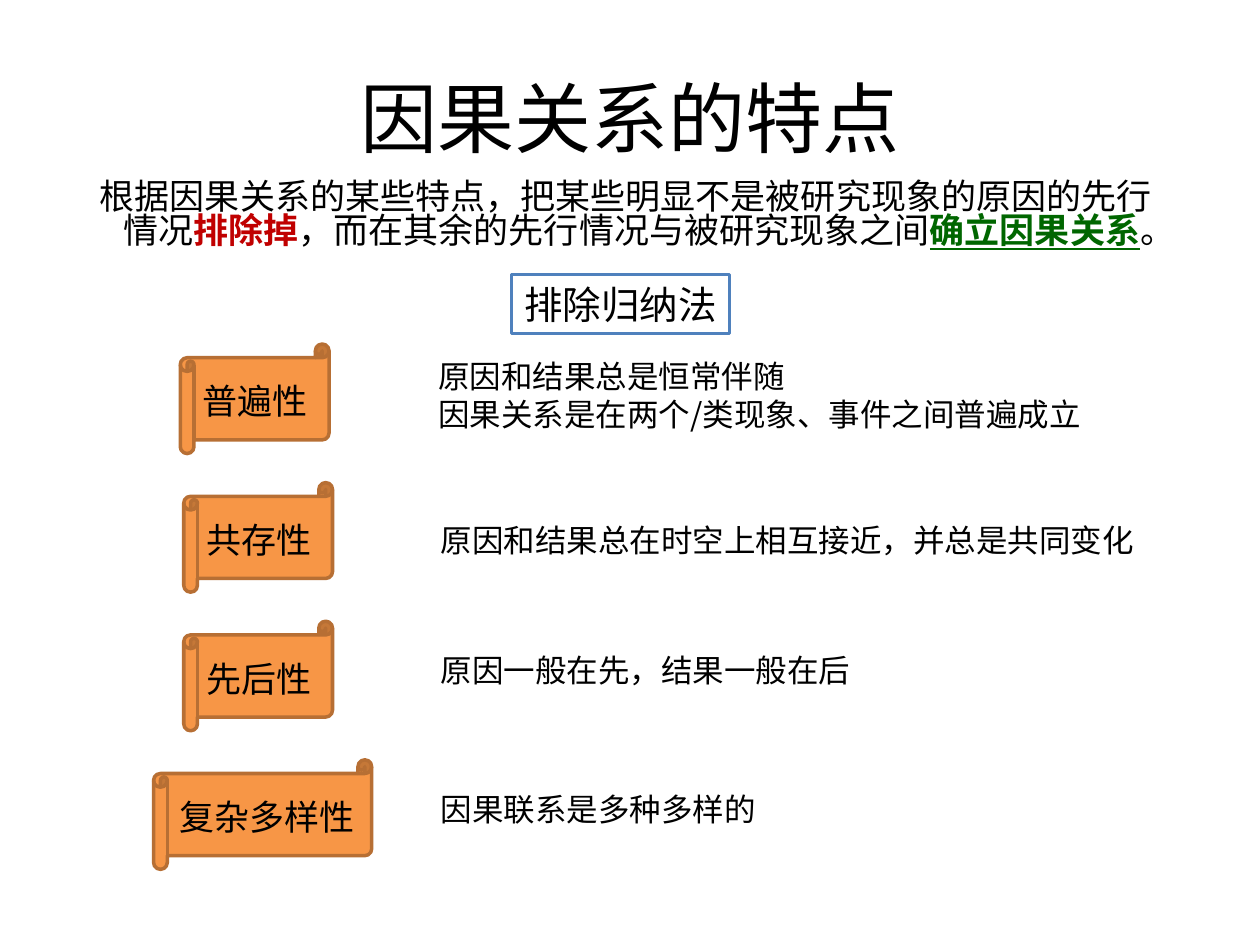
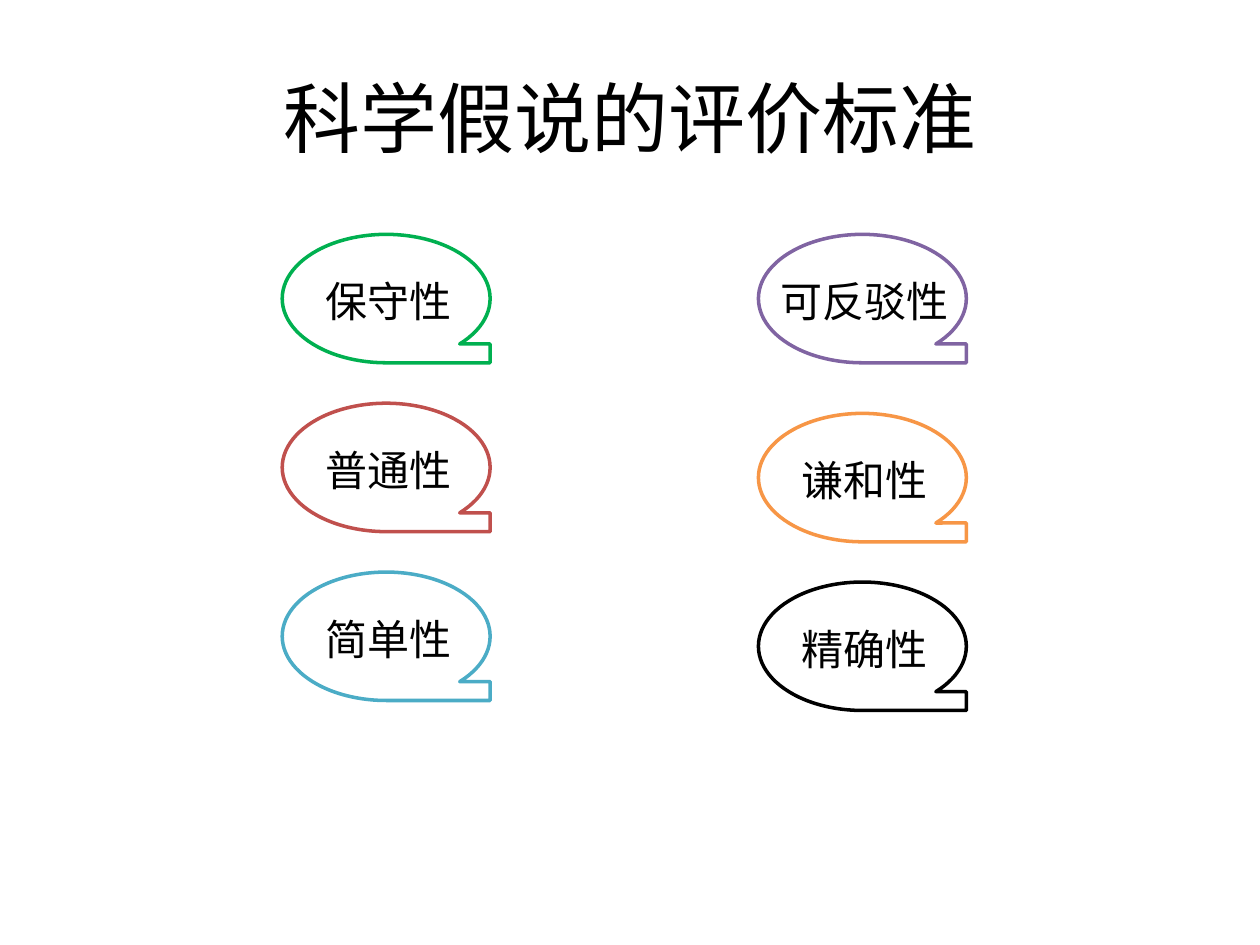
import pptx
import pptx.util
import pptx.dml.color
import pptx.enum.shapes
import pptx.enum.text
import pptx.oxml.ns
from lxml import etree

Pt = pptx.util.Pt
SHAPE = pptx.enum.shapes.MSO_SHAPE
ALIGN = pptx.enum.text.PP_ALIGN
ANCHOR = pptx.enum.text.MSO_ANCHOR

COLORS = {
    "black": "000000", "white": "FFFFFF", "blue": "4F81BD",
    "orange": "F79646", "brown": "B76F34", "red": "C00000",
    "dark green": "006600", "green": "00B050", "brick": "C0504D",
    "teal": "4BACC6", "purple": "8064A2",
}
TITLE_FONT = "Noto Sans CJK JP"
BODY_FONT = "Noto Sans CJK SC"
TITLE_BOX = (36, 21.6, 648, 90)
HANGING = 27.36
TIGHT = 0.83

# Causality slide
CAUSALITY_TITLE = "因果关系的特点"
INTRO = [  # text, colour, emphasised, underlined
    ("根据因果关系的某些特点，把某些明显不是被研究现象的原因的先行情况", "black", False, False),
    ("排除掉", "red", True, False),
    ("，而在其余的先行情况与被研究现象之间", "black", False, False),
    ("确立因果关系", "dark green", True, True),
    ("。", "black", False, False),
]
INTRO_BOX = (36, 100, 648, 65)
METHOD = "排除归纳法"
METHOD_BOX = (292.3, 157, 124.6, 33.5)
FEATURES = [  # name, scroll left, scroll width, label shift, text left, text top, lines
    ("普遍性", 103, 85, 0.5, 243.4, 204.3,
     ["原因和结果总是恒常伴随", "因果关系是在两个/类现象、事件之间普遍成立"]),
    ("共存性", 105, 85, 0.5, 244.8, 297.9, ["原因和结果总在时空上相互接近，并总是共同变化"]),
    ("先后性", 105, 85, 0.5, 244.8, 372.1, ["原因一般在先，结果一般在后"]),
    ("复杂多样性", 87.8, 124.6, 2.5, 244.8, 451.3, ["因果联系是多种多样的"]),
]
SCROLL_TOP, SCROLL_PITCH, SCROLL_HEIGHT = 196.6, 79.2, 62.6

# Hypothesis slide
HYPOTHESIS_TITLE = "科学假说的评价标准"
CRITERIA = [  # column left, then (top, name, outline colour)
    (161.3, [(133.9, "保守性", "green"), (230.4, "普通性", "brick"), (326.9, "简单性", "teal")]),
    (433.4, [(133.9, "可反驳性", "purple"), (236.2, "谦和性", "orange"), (332.6, "精确性", "black")]),
]
CRITERION_SIZE = (118.8, 73.4)


def rgb(color):
    return pptx.dml.color.RGBColor.from_string(COLORS[color])


def style_run(run, size, color="black", name=BODY_FONT, bold=False, underline=False):
    font = run.font
    font.size, font.name, font.bold, font.underline = Pt(size), name, bold, underline
    font.color.rgb = rgb(color)
    east_asian = etree.SubElement(run._r.get_or_add_rPr(), pptx.oxml.ns.qn("a:ea"))
    east_asian.set("typeface", name)


def hang(paragraph, first_line=0.0):
    """Indent all lines but the first, which starts at first_line points."""
    properties = paragraph._p.get_or_add_pPr()
    properties.set("marL", str(int(Pt(HANGING))))
    properties.set("indent", str(int(Pt(first_line - HANGING))))
    paragraph.line_spacing = TIGHT


def add_title_slide(deck, title):
    slide = deck.slides.add_slide(deck.slide_layouts[5])
    heading = slide.shapes.title
    heading.left, heading.top, heading.width, heading.height = map(Pt, TITLE_BOX)
    heading.text_frame.text = title
    heading.text_frame.vertical_anchor = ANCHOR.MIDDLE
    paragraph = heading.text_frame.paragraphs[0]
    paragraph.alignment = ALIGN.CENTER
    style_run(paragraph.runs[0], 44, name=TITLE_FONT)
    return slide


def add_outlined(slide, kind, box, fill, line):
    shape = slide.shapes.add_shape(kind, *map(Pt, box))
    shape.shadow.inherit = False
    shape.fill.solid()
    shape.fill.fore_color.rgb = rgb(fill)
    shape.line.color.rgb = rgb(line)
    shape.line.width = Pt(2)
    return shape


def center_text(shape, text, size):
    frame = shape.text_frame
    frame.text = text
    frame.word_wrap = False
    frame.vertical_anchor = ANCHOR.MIDDLE
    frame.paragraphs[0].alignment = ALIGN.CENTER
    style_run(frame.paragraphs[0].runs[0], size)


def add_label(slide, box, shift, text, size):
    """Centre a label over box, moved right by shift and slightly down."""
    left, top, width, height = box
    label = slide.shapes.add_textbox(*map(Pt, (left + shift, top + 1.2, width, height)))
    center_text(label, text, size)


def add_wrapped_box(slide, box):
    frame = slide.shapes.add_textbox(*map(Pt, box)).text_frame
    frame.word_wrap = True
    return frame


def add_intro(slide):
    paragraph = add_wrapped_box(slide, INTRO_BOX).paragraphs[0]
    hang(paragraph, first_line=14)
    for text, color, bold, underline in INTRO:
        run = paragraph.add_run()
        run.text = text
        style_run(run, 20, color, bold=bold, underline=underline)


def add_explanation(slide, left, top, lines):
    frame = add_wrapped_box(slide, (left, top, 427, 36 * len(lines)))
    frame.text = "\n".join(lines)
    for index, paragraph in enumerate(frame.paragraphs):
        hang(paragraph)
        if index:
            paragraph.space_before = Pt(3.5)
        style_run(paragraph.runs[0], 18)


def build_causality(deck):
    slide = add_title_slide(deck, CAUSALITY_TITLE)
    add_intro(slide)
    for row, (name, left, width, shift, text_left, text_top, lines) in enumerate(FEATURES):
        box = (left, SCROLL_TOP + row * SCROLL_PITCH, width, SCROLL_HEIGHT)
        add_outlined(slide, SHAPE.HORIZONTAL_SCROLL, box, "orange", "brown")
        add_label(slide, box, shift, name, 20)
        add_explanation(slide, text_left, text_top, lines)
    method = add_outlined(slide, SHAPE.RECTANGLE, METHOD_BOX, "white", "blue")
    center_text(method, METHOD, 22)


def build_hypothesis(deck):
    slide = add_title_slide(deck, HYPOTHESIS_TITLE)
    for left, criteria in CRITERIA:
        for top, name, color in criteria:
            box = (left, top, *CRITERION_SIZE)
            add_outlined(slide, SHAPE.FLOWCHART_SEQUENTIAL_ACCESS_STORAGE, box, "white", color)
            add_label(slide, box, 1.3, name, 24)


def main():
    deck = pptx.Presentation()
    deck.slide_width, deck.slide_height = Pt(720), Pt(540)
    build_causality(deck)
    build_hypothesis(deck)
    deck.save("out.pptx")


if __name__ == "__main__":
    main()
